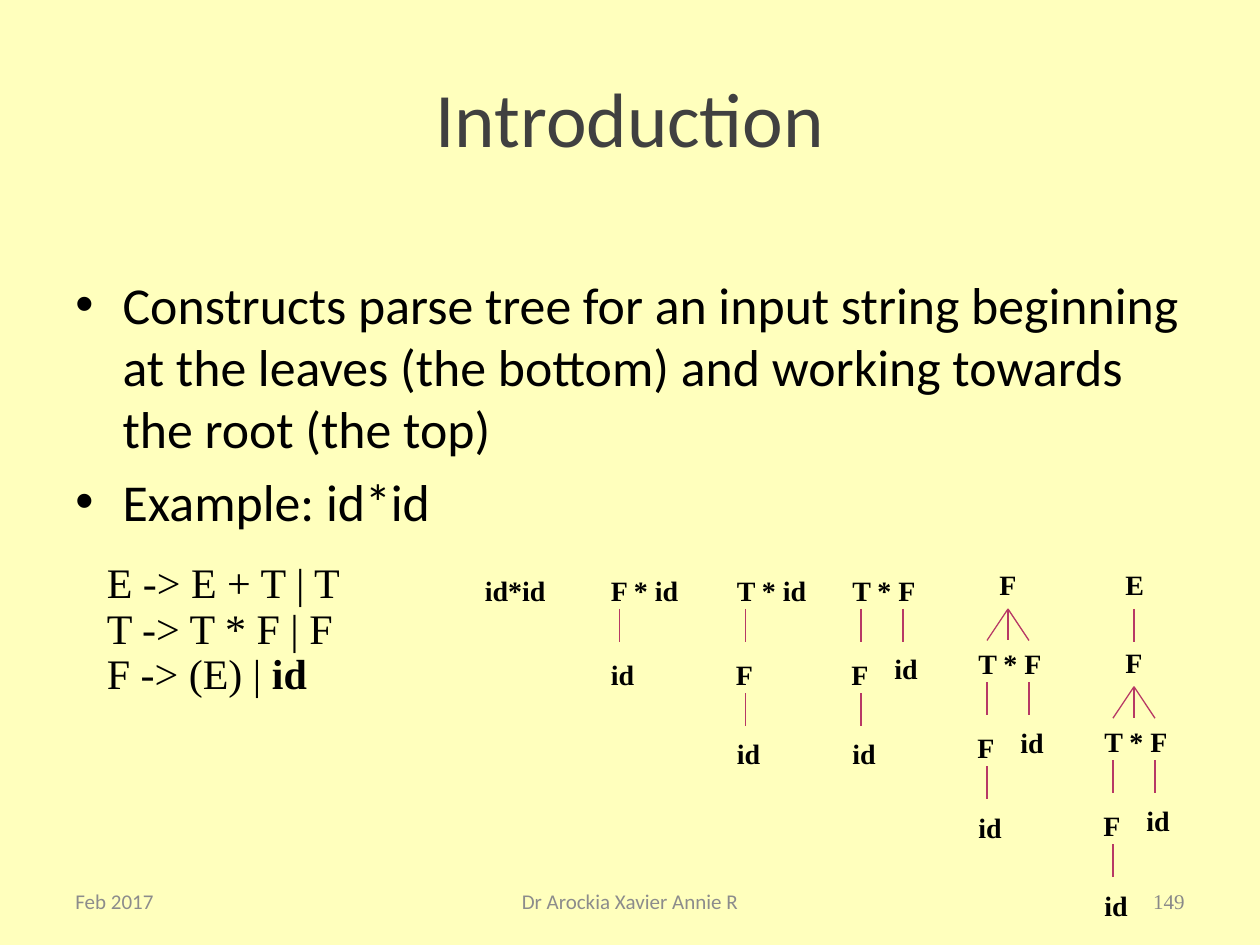
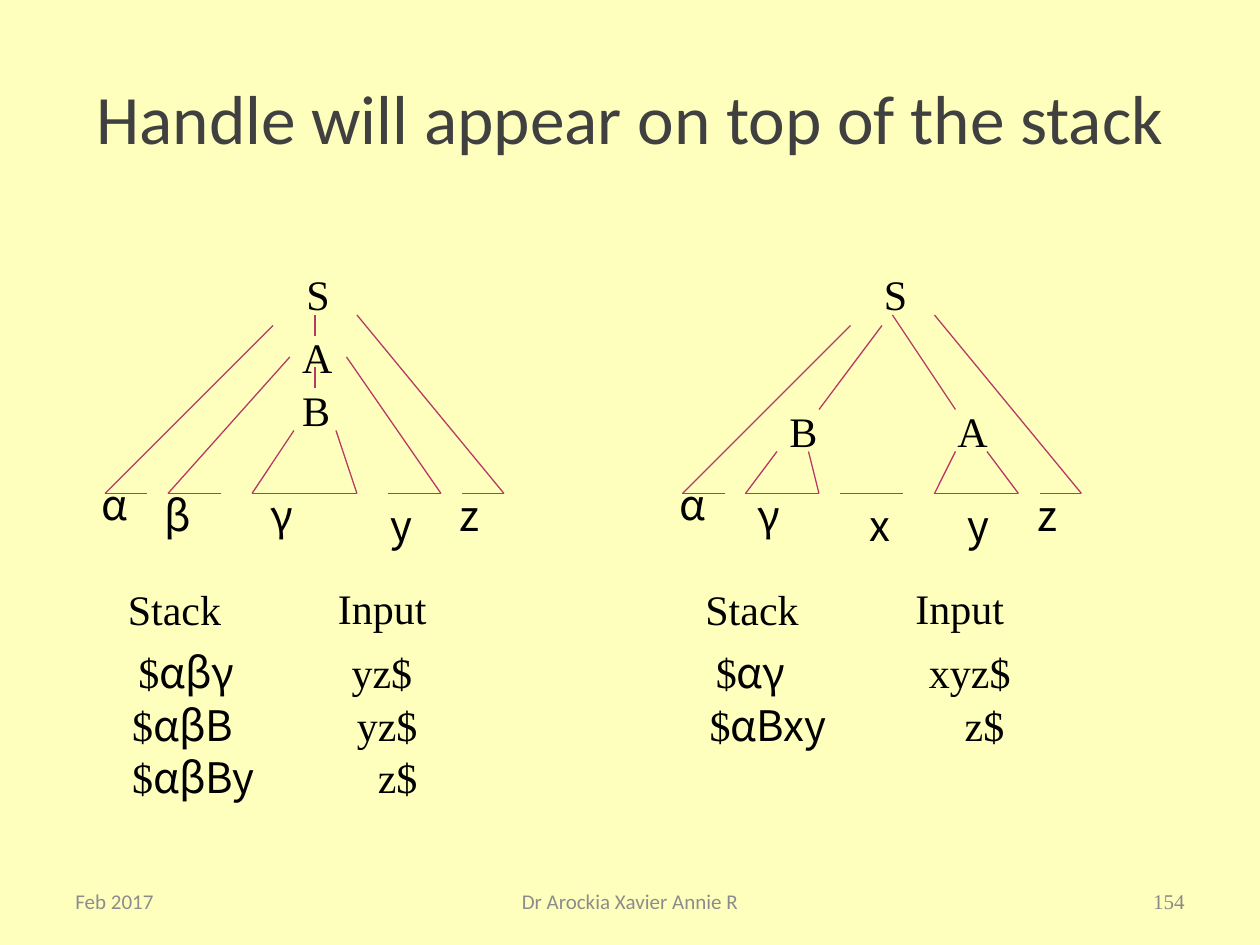
import itertools

import pptx
import pptx.dml.color
import pptx.enum.shapes
import pptx.enum.text
import pptx.oxml.ns
import pptx.util
from lxml import etree

COLORS = {"paper": "FFFFBD", "title": "404040", "ink": "000000",
          "branch": "B73965", "footer": "8C8C8C", "number": "898989"}
SANS, SERIF, GREEK = "Calibri", "Times New Roman", "Noto Sans CJK JP"
ALIGN = pptx.enum.text.PP_ALIGN
ANCHOR = pptx.enum.text.MSO_ANCHOR
AUTO = pptx.enum.text.MSO_AUTO_SIZE
TITLE_ONLY = 5
TREE_SHIFT = 55
BASE = 47
SMALL_WIDTHS = {"id": 4.7, "F": 4.1, "E": 4.2, "id*id": 9}
LARGE_WIDTHS = {"S": 4.7, "A": 5.4, "B": 5.2, "α": 6.5, "β": 6.5, "γ": 6.5,
                "x": 4.4, "y": 4.4, "z": 4.4, "Stack": 11.4, "Input": 10.9,
                "yz$": 8.3, "xyz$": 10.3, "z$": 6.2}


def grid(cells):
    """Convert grid cells, twelve to the inch, to a length."""
    return pptx.util.Inches(cells / 12)


def rgb(name):
    """Look up a colour by its role."""
    return pptx.dml.color.RGBColor.from_string(COLORS[name])


def style(font, size, face, color="ink", bold=False):
    """Set the look of a font."""
    font.size, font.name, font.bold = pptx.util.Pt(size), face, bold
    font.color.rgb = rgb(color)


def add_box(slide, left, top, width, height, wrap=True, grow=True):
    """Add an empty text box and return its text frame."""
    box = slide.shapes.add_textbox(*map(grid, (left, top, width, height)))
    frame = box.text_frame
    frame.word_wrap = wrap
    frame.auto_size = AUTO.SHAPE_TO_FIT_TEXT if grow else AUTO.NONE
    return frame


def add_branch(slide, *points):
    """Draw straight branches through the given grid points."""
    for start, end in itertools.pairwise(points):
        branch = slide.shapes.add_connector(
            pptx.enum.shapes.MSO_CONNECTOR.STRAIGHT, *map(grid, start + end))
        branch.line.color.rgb = rgb("branch")
        branch.line.width = pptx.util.Pt(0.75)
        etree.SubElement(branch.element.spPr, pptx.oxml.ns.qn("a:effectLst"))


def add_footer(slide, text, left, width, align, face=SANS, color="footer"):
    """Add one part of the footer line."""
    frame = add_box(slide, left, 83.4, width, 4.8, grow=False)
    frame.vertical_anchor = ANCHOR.MIDDLE
    line = frame.paragraphs[0]
    line.text, line.alignment = text, align
    style(line.font, 12, face, color)


def add_slide(deck, title, number, size):
    """Add a slide with its background, title and footer."""
    slide = deck.slides.add_slide(deck.slide_layouts[TITLE_ONLY])
    slide.background.fill.solid()
    slide.background.fill.fore_color.rgb = rgb("paper")
    heading = slide.shapes.title
    heading.left, heading.top, heading.width, heading.height = map(
        grid, (6, 3.6, 108, 15))
    frame = heading.text_frame
    frame.text, frame.vertical_anchor = title, ANCHOR.MIDDLE
    frame.auto_size = AUTO.NONE
    frame.paragraphs[0].alignment = ALIGN.CENTER
    style(frame.paragraphs[0].font, size, SANS, "title")
    add_footer(slide, "Feb 2017", 6, 28, ALIGN.LEFT)
    add_footer(slide, "Dr Arockia Xavier Annie R", 41, 38, ALIGN.CENTER)
    add_footer(slide, number, 86, 28, ALIGN.RIGHT, SERIF, "number")
    return slide


def add_bullets(slide, items):
    """Add the bulleted explanation."""
    frame = add_box(slide, 6, 25.4, 108, 23.6, grow=False)
    for index, item in enumerate(items):
        point = frame.add_paragraph() if index else frame.paragraphs[0]
        point.text = item
        layout = point._p.get_or_add_pPr()
        layout.set("marL", str(grid(4.5)))
        layout.set("indent", str(-grid(4.5)))
        etree.SubElement(layout, pptx.oxml.ns.qn("a:buFont"), typeface="Arial")
        etree.SubElement(layout, pptx.oxml.ns.qn("a:buChar"), char="•")
        point.space_before = pptx.util.Pt(6 if index else 0)
        style(point.font, 29.6, SANS)


def add_grammar(slide, rules):
    """List the productions, each as plain text and a bold terminal."""
    frame = add_box(slide, 9, 53, 60, 14.3)
    for index, (plain, terminal) in enumerate(rules):
        rule = frame.add_paragraph() if index else frame.paragraphs[0]
        rule.line_spacing = 0.9
        rule.add_run().text = plain
        style(rule.font, 24, SERIF)
        if terminal:
            token = rule.add_run()
            token.text, token.font.bold = terminal, True


def add_symbol(slide, text, left, top):
    """Add a bold symbol or phrase of a parse tree."""
    frame = add_box(slide, left, top, SMALL_WIDTHS.get(text, 10), 4.4,
                    wrap=" " in text or "*" in text)
    frame.text = text
    style(frame.paragraphs[0].font, 16, SERIF, bold=True)


def add_stem(slide, x, y):
    """Draw the short line between a node and its child."""
    add_branch(slide, (x, y), (x, y + 3.1))


def add_factor(slide, left, top):
    """Hang F and id below the phrase at the given place."""
    add_stem(slide, left + 2, top + 4)
    add_symbol(slide, "F", left - 0.1, top + 8)
    add_stem(slide, left + 2, top + 12)
    add_symbol(slide, "id", left, top + 15.6)


def add_product(slide, left, top):
    """Draw the tree of T * F."""
    add_symbol(slide, "T * F", left, top)
    add_factor(slide, left, top)
    add_stem(slide, left + 6, top + 4)
    add_symbol(slide, "id", left + 4, top + 7.5)


def add_reduced_product(slide, left, top):
    """Draw the tree of T * F with F as its root."""
    add_product(slide, left, top)
    add_symbol(slide, "F", left + 2, top - 7.5)
    for foot in (2, 4, 6):
        add_branch(slide, (left + 4, top - 3), (left + foot, top))


def add_label(slide, text, left, top, width=None, face=SERIF):
    """Add a large label; a wide stack entry keeps its $ in serif."""
    frame = add_box(slide, left, top, width or LARGE_WIDTHS[text], 6.1,
                    wrap=width is not None)
    line = frame.paragraphs[0]
    style(line.font, 24, face)
    if width:
        line.add_run().text = text[0]
        symbols = line.add_run()
        symbols.text, symbols.font.name = text[1:], GREEK
    else:
        line.text = text


def add_stack_case(slide, shift, branches, nodes, leaves, steps):
    """Draw one derivation tree and its stack and input columns."""
    outer = [[(26, 31), (10, BASE), (14, BASE)],
             [(34, 30), (48, BASE), (44, BASE)]]
    for points in outer + branches:
        add_branch(slide, *((x + shift, y) for x, y in points))
    for text, left, top in [("S", 28, 25), ("Stack", 11, 55),
                            ("Input", 31, 54.9)] + nodes:
        add_label(slide, text, left + shift, top)
    for text, left, top in [("α", 8.5, 45), ("z", 42.6, 46)] + leaves:
        add_label(slide, text, left + shift, top, face=GREEK)
    for row, (stack, rest, rest_left) in enumerate(steps):
        top = 61 + 5 * row
        add_label(slide, stack, shift + (11.4 if row else 12), top, 16.6)
        add_label(slide, rest, shift + rest_left, top)


def build_introduction(deck):
    """Build the slide on bottom-up parsing."""
    slide = add_slide(deck, "Introduction", "149", 44)
    add_bullets(slide, [
        "Constructs parse tree for an input string beginning at the leaves "
        "(the bottom) and working towards the root (the top)",
        "Example: id*id"])
    add_grammar(slide, [("E -> E + T | T", ""), ("T -> T * F | F", ""),
                        ("F -> (E) | ", "id")])
    top = 54
    add_symbol(slide, "id*id", 45, top)
    add_symbol(slide, "F * id", 57, top)
    add_stem(slide, 59, top + 4)
    add_symbol(slide, "id", 57, top + 8)
    add_symbol(slide, "T * id", 69, top)
    add_factor(slide, 69, top)
    add_product(slide, 80, top)
    add_reduced_product(slide, 92, top + 7)
    add_reduced_product(slide, 104, top + 14.4)
    add_symbol(slide, "E", 106, top - 0.5)
    add_stem(slide, 108, top + 4)


def build_handle(deck):
    """Build the slide with the two handle positions."""
    slide = add_slide(deck, "Handle will appear on top of the stack", "154", 39.6)
    add_stack_case(
        slide, 0,
        [[(27.6, 34), (16, BASE), (21, BASE)],
         [(28, 41), (24, BASE), (34, BASE), (32, 41)],
         [(33, 34), (42, BASE), (37, BASE)],
         [(30, 30), (30, 32)], [(30, 35), (30, 37)]],
        [("A", 27.6, 31), ("B", 27.6, 36)],
        [("β", 14.5, 46), ("γ", 24.6, 46), ("y", 36, 47)],
        [("$αβγ", "yz$", 32.3), ("$αβB", "yz$", 32.8), ("$αβBy", "z$", 34.8)])
    add_stack_case(
        slide, TREE_SHIFT,
        [[(29, 31), (23, 39)], [(30, 30), (36, 39)],
         [(19, 43), (16, BASE), (23, BASE), (22, 43)],
         [(25, BASE), (31, BASE)],
         [(36, 43), (34, BASE), (42, BASE), (39, 43)]],
        [("B", 19, 38), ("A", 35, 38)],
        [("γ", 16, 46), ("x", 26.6, 47), ("y", 36, 47)],
        [("$αγ", "xyz$", 32.3), ("$αBxy", "z$", 35.7)])


def main():
    """Build and save the deck."""
    deck = pptx.Presentation()
    deck.slide_width, deck.slide_height = grid(120), grid(90)
    build_introduction(deck)
    build_handle(deck)
    deck.save("out.pptx")


if __name__ == "__main__":
    main()
